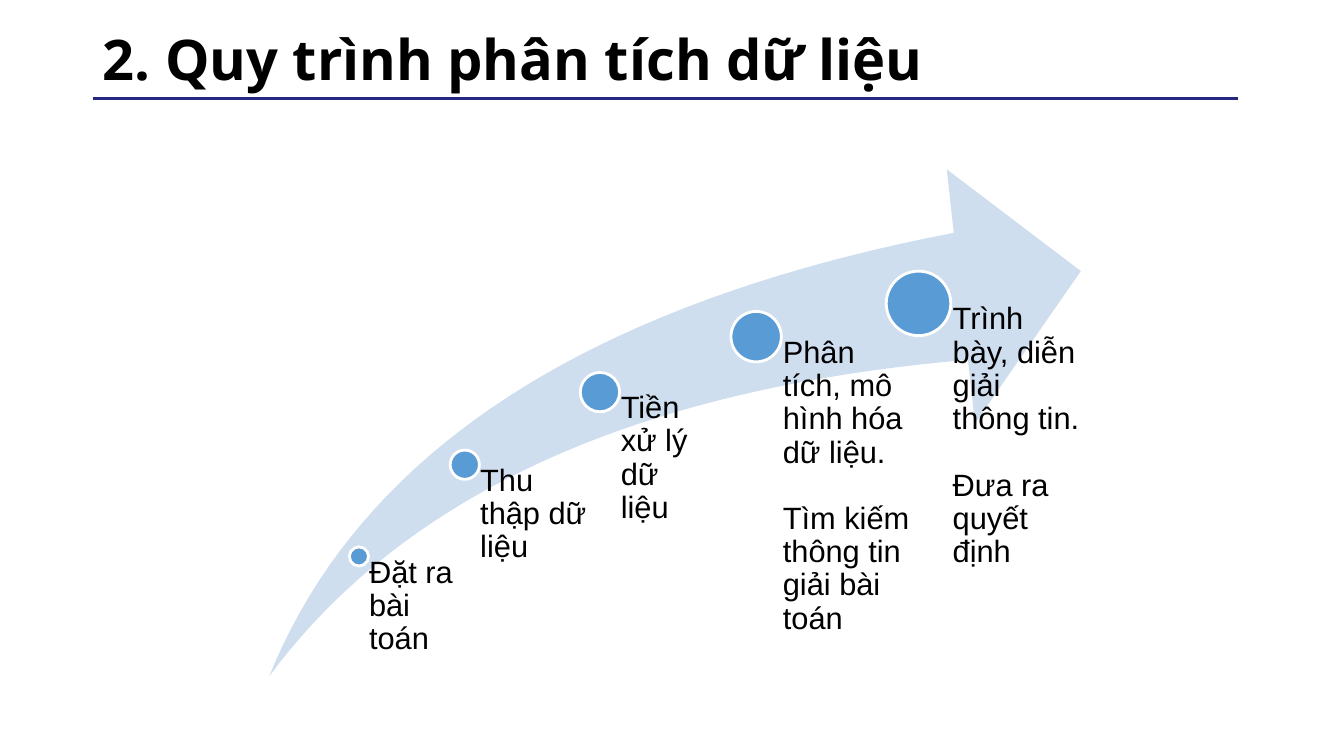
from dataclasses import dataclass

import pptx
import pptx.dml.color
import pptx.enum.shapes
import pptx.enum.text
import pptx.oxml
import pptx.util
from pptx.util import Inches


@dataclass(frozen=True)
class Theme:
    rule: str = "272780"
    arrow: str = "CFDEEF"
    dot: str = "599BD5"
    outline: str = "FFFFFF"
    text: str = "000000"
    title_font: str = "Open Sans"
    body_font: str = "Arial"
    title_size: int = 40
    body_size: int = 22
    line_width: int = 2
    line_spacing: float = 0.9
    paragraph_gap: float = 23.7


THEME = Theme()
STEPS_BOTTOM = 6.71
CURVE_SEGMENTS = 40

STEPS = [
    (3.56, 5.52, 0.19, 1.05, ["Đặt ra bài toán"]),
    (4.61, 4.61, 0.29, 1.34, ["Thu thập dữ liệu"]),
    (5.95, 3.89, 0.39, 1.05, ["Tiền xử lý dữ liệu"]),
    (7.5, 3.34, 0.5, 1.61,
     ["Phân tích, mô hình hóa dữ liệu.", "Tìm kiếm thông tin giải bài toán"]),
    (9.11, 3.01, 0.64, 1.61,
     ["Trình bày, diễn giải thông tin.", "Đưa ra quyết định"]),
]


def color(value):
    return pptx.dml.color.RGBColor.from_string(value)


def add_text(slide, box, paragraphs, font_name, size, margins, anchor, bold=False):
    shape = slide.shapes.add_textbox(*map(Inches, box))
    frame = shape.text_frame
    frame.word_wrap = True
    frame.vertical_anchor = anchor
    frame.margin_left, frame.margin_top, frame.margin_right, frame.margin_bottom = map(
        Inches, margins)
    for index, text in enumerate(paragraphs):
        paragraph = frame.add_paragraph() if index else frame.paragraphs[0]
        paragraph.text = text
        paragraph.line_spacing = THEME.line_spacing
        paragraph.space_before = pptx.util.Pt(THEME.paragraph_gap if index else 0)
        paragraph.font.name = font_name
        paragraph.font.size = pptx.util.Pt(size)
        paragraph.font.bold = bold
        paragraph.font.color.rgb = color(THEME.text)


def add_title(slide, text):
    add_text(slide, (0.92, 0.17, 11.5, 0.89), [text], THEME.title_font,
             THEME.title_size, (0.1, 0.05, 0.1, 0.05),
             pptx.enum.text.MSO_ANCHOR.MIDDLE, bold=True)


def add_rule(slide):
    connector = slide.shapes.add_connector(
        pptx.enum.shapes.MSO_CONNECTOR.STRAIGHT,
        Inches(12.28), Inches(0.98), Inches(0.92), Inches(0.98))
    connector.line.color.rgb = color(THEME.rule)
    connector.line.width = pptx.util.Pt(THEME.line_width)
    properties = connector._element.spPr
    properties.append(pptx.oxml.parse_xml(
        '<a:effectLst xmlns:a="http://schemas.openxmlformats.org/drawingml/2006/main"/>'))


def curve_points(start, first, second, end):
    points = []
    for step in range(CURVE_SEGMENTS + 1):
        t = step / CURVE_SEGMENTS
        weights = ((1 - t) ** 3, 3 * t * (1 - t) ** 2, 3 * t ** 2 * (1 - t), t ** 3)
        points.append(tuple(
            sum(weight * value for weight, value in zip(weights, values))
            for values in zip(start, first, second, end)))
    return points


def add_growth_arrow(slide):
    tail = (2.67, 6.71)
    upper_edge = curve_points(tail, (3.57, 4.48), (5.83, 3.01), (9.46, 2.31))
    head = [(9.39, 1.68), (10.72, 2.69), (9.67, 4.2)]
    lower_edge = curve_points((9.6, 3.57), (6.32, 3.85), (4.01, 4.9), tail)
    outline = [(Inches(x), Inches(y)) for x, y in upper_edge + head + lower_edge[:-1]]
    builder = slide.shapes.build_freeform(*outline[0])
    builder.add_line_segments(outline[1:], close=True)
    shape = builder.convert_to_shape()
    shape.shadow.inherit = False
    shape.fill.solid()
    shape.fill.fore_color.rgb = color(THEME.arrow)
    shape.line.fill.background()


def add_step(slide, center_x, center_y, diameter, text_width, paragraphs):
    radius = diameter / 2
    dot = slide.shapes.add_shape(
        pptx.enum.shapes.MSO_SHAPE.OVAL, Inches(center_x - radius),
        Inches(center_y - radius), Inches(diameter), Inches(diameter))
    dot.shadow.inherit = False
    dot.fill.solid()
    dot.fill.fore_color.rgb = color(THEME.dot)
    dot.line.color.rgb = color(THEME.outline)
    dot.line.width = pptx.util.Pt(THEME.line_width)
    add_text(slide, (center_x, center_y, text_width, STEPS_BOTTOM - center_y),
             paragraphs, THEME.body_font, THEME.body_size,
             (radius * 1.06, 0, 0, 0), pptx.enum.text.MSO_ANCHOR.TOP)


def main():
    presentation = pptx.Presentation()
    presentation.slide_width = Inches(13.33)
    presentation.slide_height = Inches(7.5)
    slide = presentation.slides.add_slide(presentation.slide_layouts[6])
    add_rule(slide)
    add_title(slide, "2. Quy trình phân tích dữ liệu")
    add_growth_arrow(slide)
    for step in STEPS:
        add_step(slide, *step)
    presentation.save("out.pptx")


if __name__ == "__main__":
    main()
